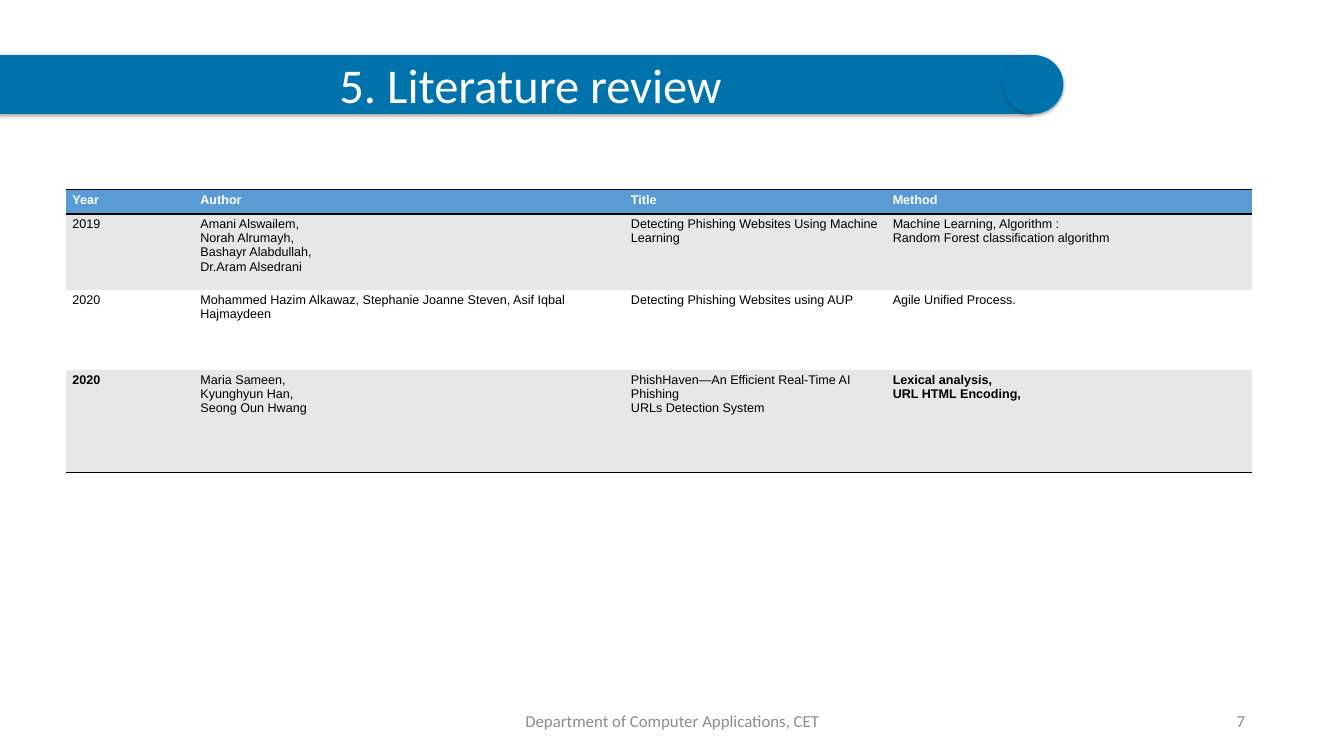
from lxml.etree import SubElement as Sub
from pptx import Presentation
from pptx.dml.color import RGBColor as Rgb
from pptx.enum.shapes import MSO_SHAPE as Shape
from pptx.enum.text import MSO_ANCHOR as Anchor, PP_ALIGN as Align
from pptx.oxml.ns import qn
from pptx.util import Pt

PX = 9144  # 100 px to the inch
BLUE, HEAD, BAND, GREY = "0073AC", "5B9BD5", "E7E7E7", "8C8C8C"
WHITE, BLACK = "FFFFFF", "000000"
PLAIN = "{2D5ABB26-0587-4C30-8999-92F81FD0307C}"  # no style, no grid

COLS = [198, 666, 405, 565]
ROWS = [38, 117, 124, 159]
CELLS = [
    ["Year", "Author", "Title", "Method"],
    ["2019",
     "Amani Alswailem,\vNorah Alrumayh,\vBashayr Alabdullah,\nDr.Aram Alsedrani",
     "Detecting Phishing Websites Using Machine Learning",
     "Machine Learning, Algorithm :\nRandom Forest classification algorithm"],
    ["2020",
     "Mohammed Hazim Alkawaz, Stephanie Joanne Steven, Asif Iqbal Hajmaydeen",
     "Detecting Phishing Websites using AUP",
     "Agile Unified Process."],
    ["2020",
     "Maria Sameen,\nKyunghyun Han,\nSeong Oun Hwang",
     "PhishHaven—An Efficient Real-Time AI Phishing\nURLs Detection System",
     "Lexical analysis,\nURL HTML Encoding,"],
]
BOLD = {(0, 0), (0, 1), (0, 2), (0, 3), (3, 0), (3, 3)}


def emu(*vals):
    return [v * PX for v in vals]


def paint(fill, tint):
    fill.solid()
    fill.fore_color.rgb = Rgb.from_string(tint)


def write(frame, text, tint, align=Align.LEFT, **look):
    frame.text = text
    for par in frame.paragraphs:
        par.alignment = align
        for run in par.runs:
            run.font.color.rgb = Rgb.from_string(tint)
            for key, val in look.items():
                setattr(run.font, key, val)


def shade(shape):
    """Soft shadow straight below the shape."""
    shape.shadow.inherit = False
    fx = shape._element.spPr.find(qn("a:effectLst"))
    out = Sub(fx, qn("a:outerShdw"), blurRad=str(Pt(3.5)),
              dist=str(Pt(2.2)), dir="5400000", rotWithShape="0")
    tint = Sub(out, qn("a:srgbClr"), val=BLACK)
    Sub(tint, qn("a:alpha"), val="32000")


def banner(slide, x, y, w, h):
    # Bar with a round end cap centred on its right edge
    cap = 93
    bar = slide.shapes.add_shape(Shape.RECTANGLE, *emu(x, y, w, h))
    end = slide.shapes.add_shape(
        Shape.OVAL, *emu(x + w - cap // 2 + 3, y, cap, h))
    for part in (bar, end):
        paint(part.fill, BLUE)
        part.line.fill.background()
        shade(part)
    # Title
    frame = bar.text_frame
    form = dict(margin_left=50 * PX, margin_right=0, margin_top=0,
                margin_bottom=0, vertical_anchor=Anchor.TOP, word_wrap=True)
    for key, val in form.items():
        setattr(frame, key, val)
    write(frame, "5. Literature review", WHITE, Align.CENTER,
          size=Pt(54), name="Calibri")


def note(slide, x, y, w, h, text, align):
    frame = slide.shapes.add_textbox(*emu(x, y, w, h)).text_frame
    frame.word_wrap = True
    frame.vertical_anchor = Anchor.MIDDLE
    write(frame, text, GREY, align, size=Pt(18.7), name="Calibri")


def rule(cell, side):
    line = Sub(cell._tc.get_or_add_tcPr(), qn("a:" + side), w=str(Pt(2)))
    Sub(Sub(line, qn("a:solidFill")), qn("a:srgbClr"), val=BLACK)


def review(slide, x, y):
    box = emu(x, y, sum(COLS), sum(ROWS))
    grid = slide.shapes.add_table(len(ROWS), len(COLS), *box).table
    grid._tbl.tblPr.find(qn("a:tableStyleId")).text = PLAIN
    for col, w in zip(grid.columns, COLS):
        col.width = w * PX
    for row, h in zip(grid.rows, ROWS):
        row.height = h * PX
    for r, texts in enumerate(CELLS):
        for c, text in enumerate(texts):
            cell = grid.cell(r, c)
            # Rules come before the fill in the cell's XML
            if r == 0:
                rule(cell, "lnT")
            if r in (0, len(ROWS) - 1):
                rule(cell, "lnB")
            paint(cell.fill, HEAD if r == 0 else BAND if r % 2 else WHITE)
            write(cell.text_frame, text, BLACK if r else WHITE,
                  size=Pt(14), name="Arial", bold=(r, c) in BOLD)


def main():
    deck = Presentation()
    deck.slide_width, deck.slide_height = emu(2079, 1169)
    slide = deck.slides.add_slide(deck.slide_layouts[6])
    banner(slide, -3, 85, 1598, 91)
    # Footer
    note(slide, 689, 1084, 702, 62,
         "Department of Computer Applications, CET", Align.CENTER)
    note(slide, 1468, 1084, 468, 62, "7", Align.RIGHT)
    review(slide, 102, 293)
    deck.save("out.pptx")


if __name__ == "__main__":
    main()
